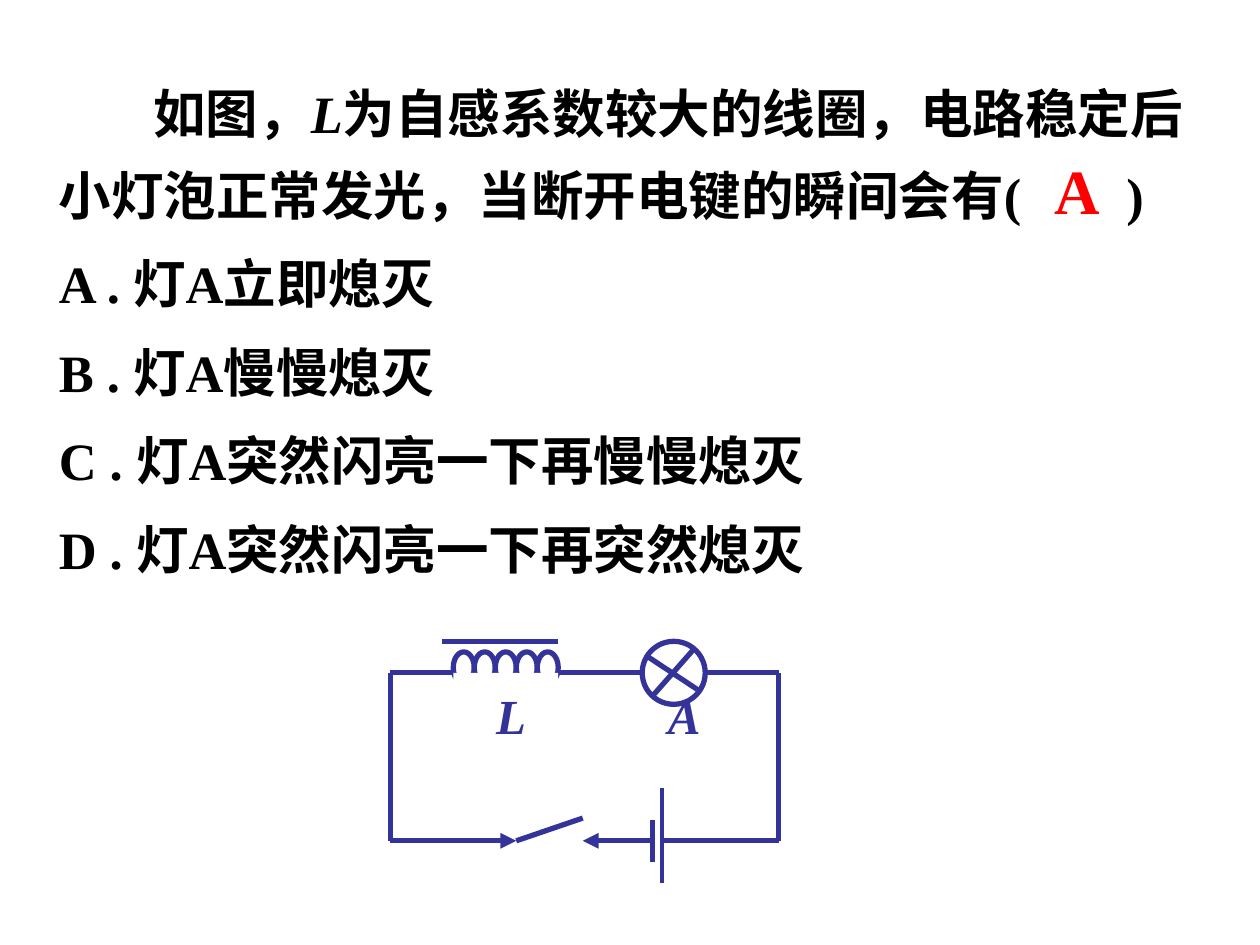
import pptx
import pptx.util
import pptx.dml.color
import pptx.enum.shapes
import pptx.enum.text
import pptx.oxml
import pptx.oxml.ns
import lxml.etree

Pt = pptx.util.Pt
RGBColor = pptx.dml.color.RGBColor
SHAPE = pptx.enum.shapes.MSO_SHAPE
ALIGN = pptx.enum.text.PP_ALIGN
qn = pptx.oxml.ns.qn

BLACK = RGBColor(0, 0, 0)
WHITE = RGBColor(255, 255, 255)
RED = RGBColor(255, 0, 0)
BLUE = RGBColor(0x33, 0x33, 0x99)
FONT = "Times New Roman"

STEM = [
    ("如图，", False),
    ("L", True),
    ("为自感系数较大的线圈，电路稳定后小灯泡正常发光，当断开电键的瞬间会有(", False),
    (" ", False, 52.5),
    (")", False),
]
OPTIONS = [
    "A . 灯A立即熄灭",
    "B . 灯A慢慢熄灭",
    "C . 灯A突然闪亮一下再慢慢熄灭",
    "D . 灯A突然闪亮一下再突然熄灭",
]
LABELS = [("L", True), (" ", True, 74), ("A", True)]


def add_text(shapes, box, paragraphs, size=30, color=BLACK, align=ALIGN.LEFT,
             spacing=1, before=0, indent=0):
    sp = shapes.add_textbox(*map(Pt, box))
    tf = sp.text_frame
    tf.word_wrap = True
    for i, runs in enumerate(paragraphs):
        p = tf.add_paragraph() if i else tf.paragraphs[0]
        p.alignment = align
        p.line_spacing = spacing
        p.space_before = Pt(before if i else 0)
        if i == 0:
            pPr = p._p.get_or_add_pPr()
            pPr.set("marL", "0")
            pPr.set("indent", str(Pt(indent)))
        for text, italic, *tracking in runs:
            r = p.add_run()
            r.text = text
            r.font.name = FONT
            r.font.size = Pt(size)
            r.font.bold = True
            r.font.italic = italic
            r.font.color.rgb = color
            for points in tracking:
                r._r.get_or_add_rPr().set("spc", str(round(points * 100)))
    return sp


def add_line(shapes, x1, y1, x2, y2, width=3, arrow=None):
    s = shapes.add_connector(pptx.enum.shapes.MSO_CONNECTOR.STRAIGHT,
                             Pt(x1), Pt(y1), Pt(x2), Pt(y2))
    s.line.color.rgb = BLUE
    s.line.width = Pt(width)
    if arrow:
        lxml.etree.SubElement(s.line._get_or_add_ln(), qn(arrow), type="triangle")
    lxml.etree.SubElement(s._element.spPr, qn("a:effectLst"))


def add_outline(shapes, kind, box, fill=None, line=BLUE):
    s = shapes.add_shape(kind, *map(Pt, box))
    s.shadow.inherit = False
    if fill is None:
        s.fill.background()
    else:
        s.fill.solid()
        s.fill.fore_color.rgb = fill
    if line is None:
        s.line.fill.background()
    else:
        s.line.color.rgb = line
        s.line.width = Pt(3)


def question(shapes, x, y, w, h):
    paragraphs = [STEM] + [[(option, False)] for option in OPTIONS]
    add_text(shapes, (x, y, w, h), paragraphs, spacing=1.3, before=3.7, indent=54)
    add_text(shapes, (x + 558, y + 51, 62.5, 50), [[("A", False)]],
             size=36, color=RED, align=ALIGN.CENTER)


def circuit(shapes, x, y, w, h):
    group = shapes.add_group_shape().shapes
    top, bottom = 18, 114
    coil, turn, turns = 36, 12, 5
    coil_end = coil + turn * turns
    lamp, lamp_size = 144, 36
    switch, contact = 72, 110
    short_plate, long_plate = 150, 155.5

    add_outline(group, SHAPE.OVAL, (x + lamp, y, lamp_size, lamp_size), WHITE)
    for i in range(turns):
        add_outline(group, SHAPE.OVAL, (x + coil + turn * i, y + 6, turn, 18))

    wires = [
        (150.5, 30.5, 173, 5),
        (147.5, 9, 175.5, 27.5),
        (29.5, 0, coil_end, 0),
        (coil_end, top, lamp, top),
        (0, top, 0, bottom),
        (0, top, coil, top),
        (lamp + lamp_size, top, w, top),
        (w, top, w, bottom),
        (0, bottom, switch, bottom, 3, "a:tailEnd"),
        (switch, bottom, contact, 101),
        (contact, bottom, short_plate, bottom, 3, "a:headEnd"),
        (short_plate, bottom - 12, short_plate, bottom + 12),
        (long_plate, h - 54, long_plate, h, 2.25),
        (long_plate, bottom, w, bottom),
    ]
    for x1, y1, x2, y2, *style in wires:
        add_line(group, x + x1, y + y1, x + x2, y + y2, *style)

    add_outline(group, SHAPE.RECTANGLE,
                (x + coil, y + top, coil_end - coil, 18), WHITE, None)
    add_text(group, (x + 32.5, y + 21.5, 174, 41), [LABELS],
             size=28, color=BLUE, indent=21)


def main():
    prs = pptx.Presentation()
    prs.slide_width, prs.slide_height = Pt(720), Pt(540)
    slide = prs.slides.add_slide(prs.slide_layouts[6])
    question(slide.shapes, 26.5, 32, 675, 303)
    circuit(slide.shapes, 223, 366.5, 222, 138)
    prs.save("out.pptx")


if __name__ == "__main__":
    main()
